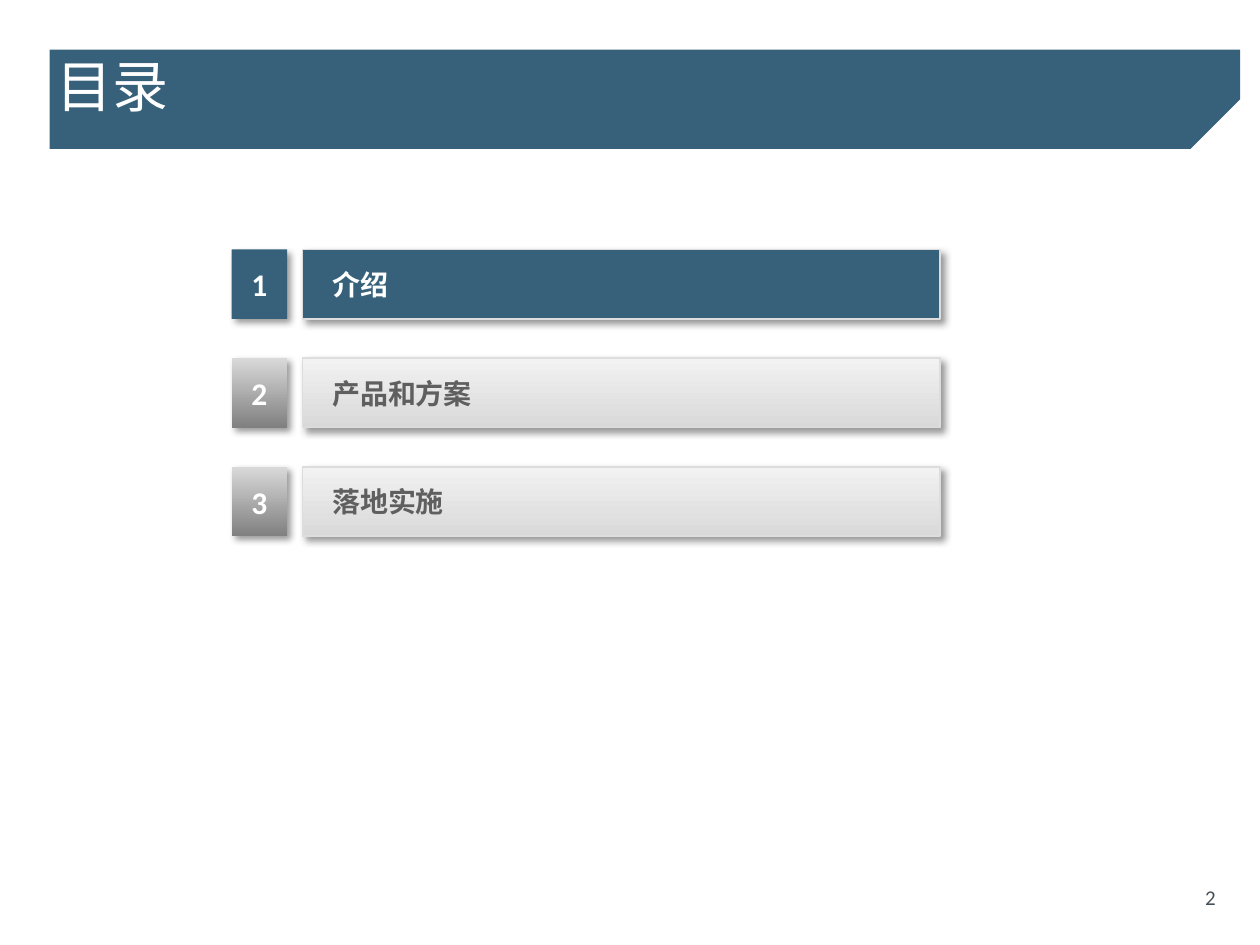
import pptx
import pptx.util
import pptx.dml.color
import pptx.enum.shapes
import pptx.enum.text
import lxml.etree

Cm = pptx.util.Cm
Pt = pptx.util.Pt
RGB = pptx.dml.color.RGBColor.from_string
ALIGN = pptx.enum.text.PP_ALIGN
RECT = pptx.enum.shapes.MSO_SHAPE.RECTANGLE
NS = "http://schemas.openxmlformats.org/drawingml/2006/main"
HUES = {
    "blue": "37617A", "white": "FFFFFF", "edge": "DDDDDD", "text": "5F5F5F",
    "page": "465058", "pale": "F2F2F2", "light": "D9D9D9", "dark": "808080",
}
CJK = "Noto Sans CJK SC"


def write(shape, text, size, hue, pads, align=ALIGN.LEFT, bold=False, face="Calibri"):
    """Put one line of text in a shape; pads are left, top, right, bottom in cm."""
    frame = shape.text_frame
    form = dict(zip(("margin_left", "margin_top", "margin_right", "margin_bottom"), map(Cm, pads)))
    form.update(word_wrap=True, vertical_anchor=pptx.enum.text.MSO_ANCHOR.MIDDLE)
    for key, value in form.items():
        setattr(frame, key, value)
    line = frame.paragraphs[0]
    line.alignment = align
    run = line.add_run()
    run.text = text
    for key, value in {"size": Pt(size), "bold": bold, "name": face}.items():
        setattr(run.font, key, value)
    run.font.color.rgb = RGB(HUES[hue])
    lxml.etree.SubElement(run.font._element, f"{{{NS}}}ea", typeface=CJK)


def block(group, left, top, width, hues, edge=None):
    """Add a shadowed box, plain with one hue and shaded downwards with two."""
    box = group.shapes.add_shape(RECT, Cm(left), Cm(top), Cm(width), Cm(1.4))
    if len(hues) == 1:
        box.fill.solid()
        box.fill.fore_color.rgb = RGB(HUES[hues[0]])
    else:
        box.fill.gradient()
        box.fill.gradient_angle = 270
        for stop, hue in zip(box.fill.gradient_stops, hues):
            stop.color.rgb = RGB(HUES[hue])
    if edge:
        box.line.color.rgb = RGB(HUES[edge])
        box.line.width = Pt(1)
    else:
        box.line.fill.background()
    box.shadow.inherit = False
    glow = box._element.spPr.find(f"{{{NS}}}effectLst")
    glow.append(lxml.etree.fromstring(
        f'<a:outerShdw xmlns:a="{NS}" blurRad="{Pt(4)}" dist="{Pt(3)}" dir="2700000" '
        'algn="tl" rotWithShape="0"><a:srgbClr val="000000"><a:alpha val="40000"/>'
        '</a:srgbClr></a:outerShdw>'))
    return box


deck = pptx.Presentation()
deck.slide_width = Cm(25.4)
deck.slide_height = Cm(19.05)
slide = deck.slides.add_slide(deck.slide_layouts[6])

# Title band with a cut corner
pen = slide.shapes.build_freeform(0.64, 0.64, scale=Cm(1))
pen.add_line_segments([(24.79, 0.66), (24.82, 1.96), (23.95, 2.82), (0.64, 2.79)], close=True)
band = pen.convert_to_shape()
band.fill.solid()
band.fill.fore_color.rgb = RGB(HUES["blue"])
band.line.fill.background()
band.shadow.inherit = False
title = slide.shapes.add_textbox(Cm(0.64), Cm(0.64), Cm(24.15), Cm(2.16))
write(title, "目录", 32, "white", (0.5, 0.13, 0.25, 0.13), face=CJK)

page = slide.shapes.add_textbox(Cm(19.63), Cm(17.58), Cm(5.13), Cm(1.02))
write(page, "2", 12, "page", (0.25, 0.13, 0.25, 0.13), ALIGN.RIGHT)

# Contents, with the first entry as the current one
for row, topic in enumerate(("介绍", "产品和方案", "落地实施")):
    top = 5.03 + 2.19 * row
    now = row == 0
    group = slide.shapes.add_group_shape()
    bar = block(group, 6.1, top, 12.85, ("blue",) if now else ("pale", "light"), "edge")
    write(bar, topic, 16, "white" if now else "text", (0.6, 0.1, 0.1, 0.1), bold=True)
    tag = block(group, 4.67, top, 1.12, ("blue",) if now else ("light", "dark"))
    write(tag, str(row + 1), 18, "white", (0, 0, 0, 0), ALIGN.CENTER, bold=True)

deck.save("out.pptx")
